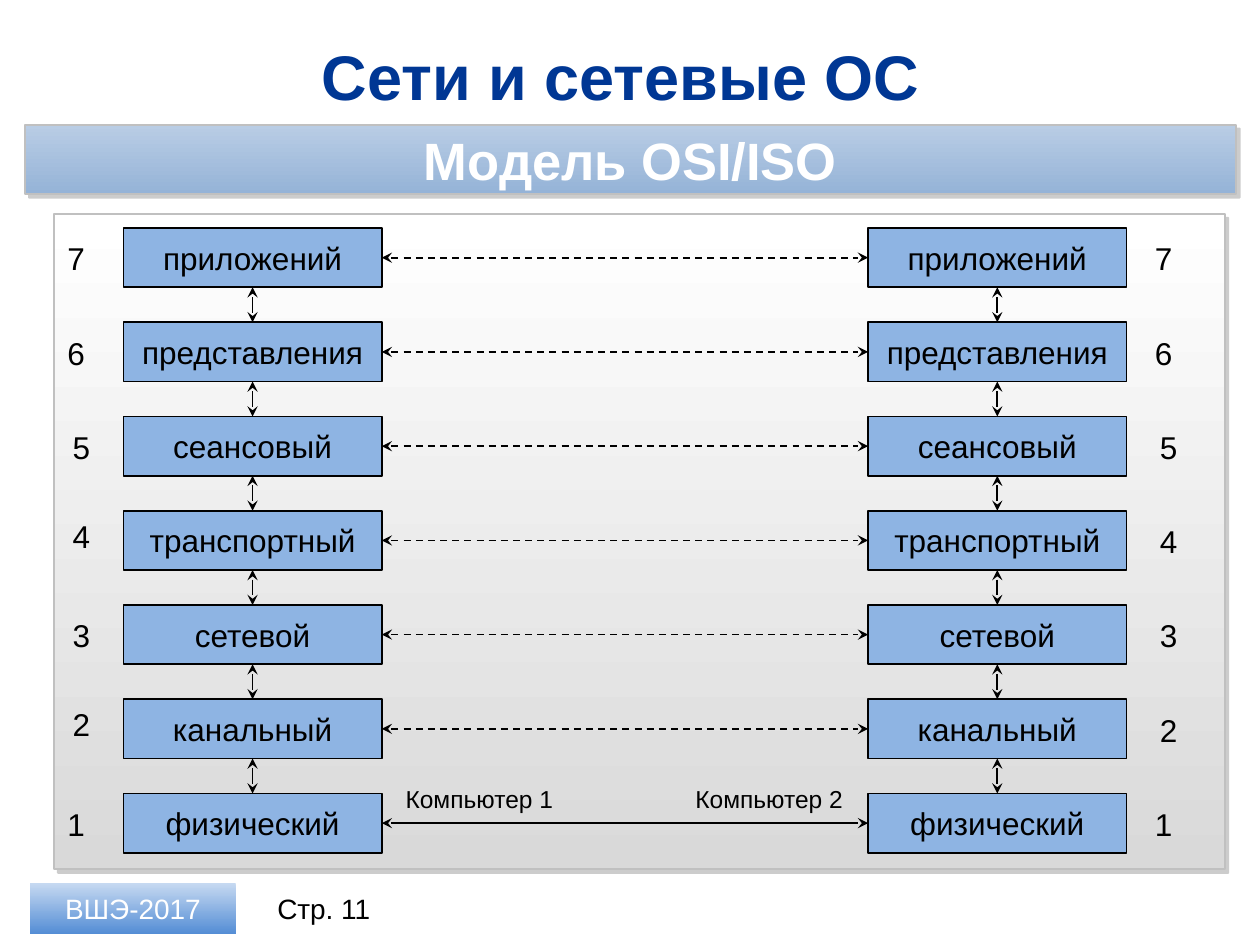
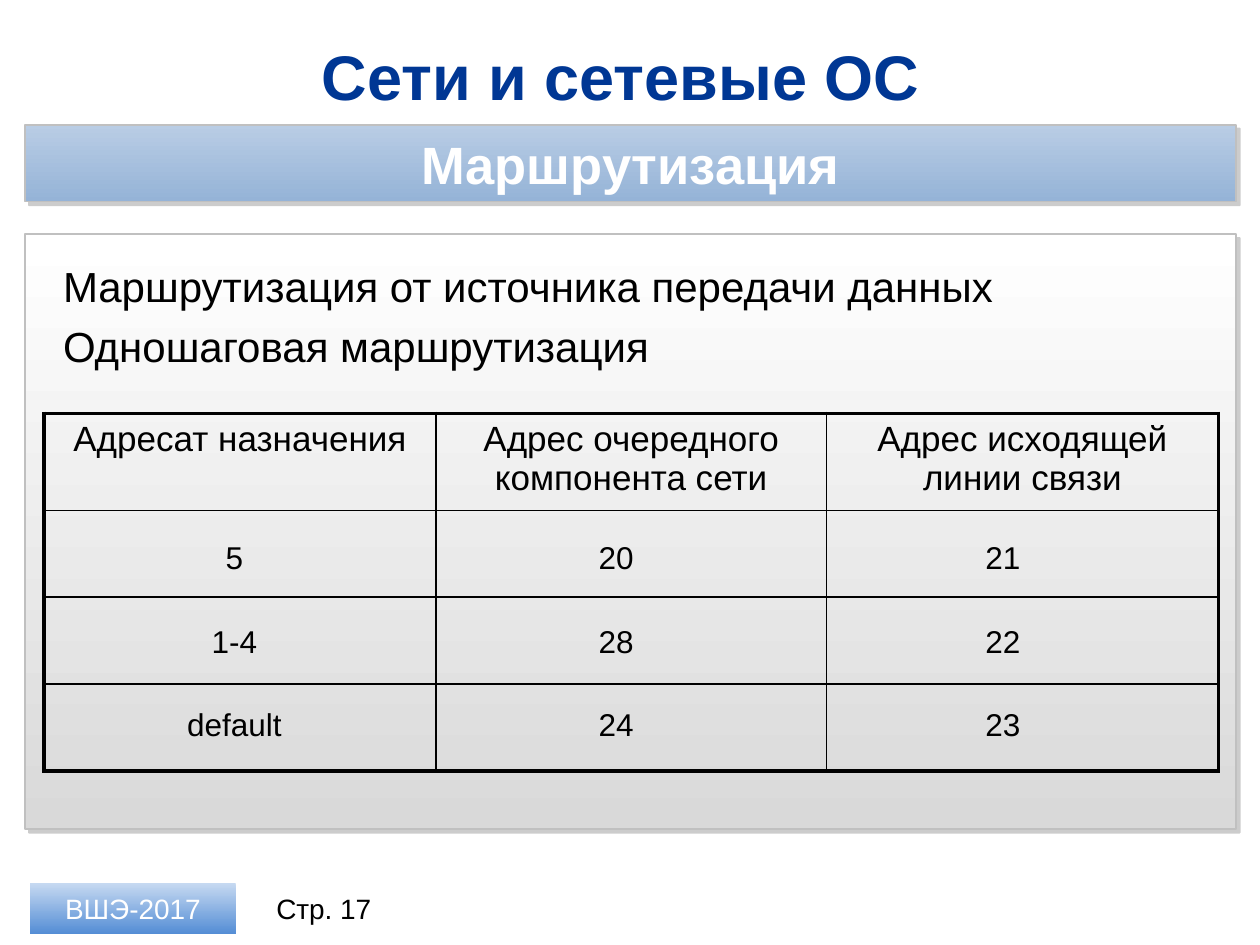
from lxml import etree
from pptx import Presentation, util as u
from pptx.dml.color import RGBColor
from pptx.enum import dml, shapes, text
from pptx.oxml import ns

# Grid: 100 columns by 75 rows on a 10 x 7.5 inch slide
COLS, ROWS = 100, 75
WIDTH, HEIGHT = u.Inches(10), u.Inches(7.5)

# Shared colours: gradients run from top to bottom
INK, WHITE, NAVY, EDGE, SHADE = "000000", "FFFFFF", "003794", "C0C0C0", "808080"
LAYER = "8EB4E3"
PANEL = (WHITE, "D9D9D9")
BAND = ("B9CDE5", "95B3D7")
BADGE = ("C6D9F1", "558ED5")
TOP, MID = text.MSO_ANCHOR.TOP, text.MSO_ANCHOR.MIDDLE
LEFT, CENTER = text.PP_ALIGN.LEFT, text.PP_ALIGN.CENTER


def rgb(code):
    return RGBColor.from_string(code)


def apply(item, values):
    for name, value in values.items():
        setattr(item, name, value)


def sub(parent, tag, **attrs):
    node = etree.SubElement(parent, ns.qn("a:" + tag))
    for name, value in attrs.items():
        node.set(name, str(value))
    return node


class Deck:
    font = "Arial"
    title = "Сети и сетевые ОС "
    badge = "ВШЭ-2017"

    def __init__(self):
        self.prs = Presentation()
        apply(self.prs, {"slide_width": WIDTH, "slide_height": HEIGHT})
        self.slide = None

    def grid(self, x, y, w, h):
        dx, dy = WIDTH / COLS, HEIGHT / ROWS
        return [round(v) for v in (x * dx, y * dy, w * dx, h * dy)]

    def page(self, layout, number, topic, depth):
        """Start a slide with its title, topic band and footer."""
        self.slide = self.prs.slides.add_slide(self.prs.slide_layouts[layout])
        self.holder(0, (3.5, 2.6, 92.9, 6.8), [self.title],
                    size=36, color=NAVY, bold=True, anchor=MID)
        band = self.box((2, 9.9, 96.1, depth), BAND, EDGE, shadow=True)
        self.words(band.text_frame, [topic], size=30, color=WHITE, bold=True,
                   anchor=MID, pad=(2.4, 0.4))
        foot = self.box((2.4, 70.1, 16.3, 4), BADGE)
        self.words(foot.text_frame, [self.badge], size=16, color=WHITE, anchor=MID)
        self.label((20.3, 70.1, 10.8, 4), f"Стр. {number}", size=16, anchor=MID)

    def words(self, frame, lines, size=18, color=INK, bold=False, align=CENTER,
              anchor=TOP, wrap=True, gap=0, pad=(1, 0.5), plain=False):
        side, edge = self.grid(*pad, 0, 0)[:2]
        apply(frame, {"auto_size": text.MSO_AUTO_SIZE.NONE, "word_wrap": wrap,
                      "vertical_anchor": anchor, "margin_left": side,
                      "margin_right": side, "margin_top": edge, "margin_bottom": edge})
        for i, line in enumerate(lines):
            para = frame.add_paragraph() if i else frame.paragraphs[0]
            para.text = line
            if plain:
                props = para._p.get_or_add_pPr()
                for name in ("marL", "indent"):
                    props.set(name, "0")
                sub(props, "buNone")
            apply(para, {"alignment": align, "space_before": u.Pt(gap if i else 0)})
            self.style(para, size, color, bold)

    def style(self, para, size, color, bold):
        for run in para.runs:
            apply(run.font, {"name": self.font, "size": u.Pt(size), "bold": bold})
            run.font.color.rgb = rgb(color)

    def holder(self, index, spot, lines, **look):
        item = self.slide.placeholders[index]
        apply(item, dict(zip(("left", "top", "width", "height"), self.grid(*spot))))
        self.words(item.text_frame, lines, **look)

    def label(self, spot, line, **look):
        item = self.slide.shapes.add_textbox(*self.grid(*spot))
        self.words(item.text_frame, [line], **look)

    def box(self, spot, fill, line=None, shadow=False):
        item = self.slide.shapes.add_shape(shapes.MSO_SHAPE.RECTANGLE, *self.grid(*spot))
        item.shadow.inherit = False
        if isinstance(fill, tuple):
            item.fill.gradient()
            item.fill.gradient_angle = 270
            for stop, code in zip(item.fill.gradient_stops, fill):
                stop.color.rgb = rgb(code)
        else:
            item.fill.solid()
            item.fill.fore_color.rgb = rgb(fill)
        if line:
            item.line.color.rgb = rgb(line)
            item.line.width = u.Pt(1)
        else:
            item.line.fill.background()
        if shadow:
            effect = item._element.spPr.find(ns.qn("a:effectLst"))
            cast = sub(effect, "outerShdw", dist=u.Pt(3), dir=45 * 60000,
                       algn="tl", rotWithShape=0)
            sub(sub(cast, "srgbClr", val=SHADE), "alpha", val=40000)
        return item

    def arrow(self, start, out, end, into, dash=False):
        """Join two boxes with a two-headed arrow."""
        item = self.slide.shapes.add_connector(shapes.MSO_CONNECTOR.STRAIGHT, 0, 0, 0, 0)
        item.begin_connect(start, out)
        item.end_connect(end, into)
        item.line.color.rgb = rgb(INK)
        item.line.width = u.Pt(1)
        if dash:
            item.line.dash_style = dml.MSO_LINE.DASH
        props = item._element.spPr
        for tip in ("headEnd", "tailEnd"):
            sub(props.find(ns.qn("a:ln")), tip, type="stealth")
        sub(props, "effectLst")

    def table(self, spot, heads, widths, heights):
        cols, rows = len(widths), len(heights)
        table = self.slide.shapes.add_table(rows, cols, *self.grid(*spot)).table
        apply(table, {"first_row": False, "horz_banding": False})
        for col, wide in zip(table.columns, widths):
            col.width = self.grid(0, 0, wide, 0)[2]
        for r, high in enumerate(heights):
            table.rows[r].height = self.grid(0, 0, 0, high)[3]
            for c in range(cols):
                cell = table.cell(r, c)
                self.border(cell, {"lnL": c == 0, "lnR": c == cols - 1,
                                   "lnT": r == 0, "lnB": r == rows - 1})
                cell.fill.background()
        for c, head in enumerate(heads):
            para = table.cell(0, c).text_frame.paragraphs[0]
            apply(para, {"text": head, "alignment": CENTER})
            self.style(para, 20, INK, False)

    def border(self, cell, outer):
        props = cell._tc.get_or_add_tcPr()
        for tag, thick in outer.items():
            edge = sub(props, tag, w=u.Pt(2.25 if thick else 1))
            sub(sub(edge, "solidFill"), "srgbClr", val=INK)


def model(deck):
    """Two stacks of layers, linked level by level."""
    deck.page(5, 11, "Модель OSI/ISO", 5.5)
    deck.box((4.3, 17, 92.9, 52), PANEL, EDGE, shadow=True)
    names = ["приложений", "представления", "сеансовый", "транспортный",
             "сетевой", "канальный", "физический"]
    top, pitch = 18.1, 7.48
    stacks = []
    for x, shift in ((9.8, 0), (68.9, 86.3)):
        stack = []
        for i, name in enumerate(names):
            y, level = top + i * pitch, len(names) - i
            item = deck.box((x, y, 20.5, 4.7), LAYER, INK)
            deck.words(item.text_frame, [name], anchor=MID, wrap=False)
            stack.append(item)
            # Level numbers: outer ones sit further left, two sit higher
            inset = 3.5 if level in (1, 6, 7) else 3.9
            drop = 0 if not shift and level in (2, 4) else 0.4
            deck.label((inset + shift, y + drop, 5.1, 4), str(level))
        for upper, lower in zip(stack, stack[1:]):
            deck.arrow(upper, 2, lower, 0)
        stacks.append(stack)

    # Only the physical level has a solid link
    for near, far in zip(*stacks):
        deck.arrow(near, 3, far, 1, dash=near is not stacks[0][-1])
    for n, x in enumerate((22.7, 45.7), 1):
        deck.label((x, 61.7, 30.7, 3.4), f"Компьютер {n}", size=14)


def routes(deck):
    """Two kinds of routing and a table of routes."""
    deck.page(1, 17, "Маршрутизация", 6.1)
    panel = deck.box((2, 18.6, 96.1, 47.2), PANEL, EDGE, shadow=True)
    # Put the panel behind the body text
    panel._element.getparent().insert(2, panel._element)
    deck.holder(1, (4, 20.2, 92, 10.6),
                ["Маршрутизация от источника передачи данных",
                 "Одношаговая маршрутизация"],
                size=24, align=LEFT, gap=5.5, plain=True)
    heads = ["Адресат назначения", "Адрес очередного компонента сети",
             "Адрес исходящей линии связи"]
    deck.table((3.5, 32.8, 93.2, 28.4), heads, (31.1, 31, 31.1), (7.7, 6.9, 6.9, 6.9))
    values = [("5", "20", "21"), ("1-4", "28", "22"), ("default", "24", "23")]
    for r, row in enumerate(values):
        for x, value in zip((11.5, 41.8, 72.5), row):
            deck.label((x, 42.2 + r * 6.65, 14.2, 4), value)


def main():
    deck = Deck()
    model(deck)
    routes(deck)
    deck.prs.save("out.pptx")


if __name__ == "__main__":
    main()
